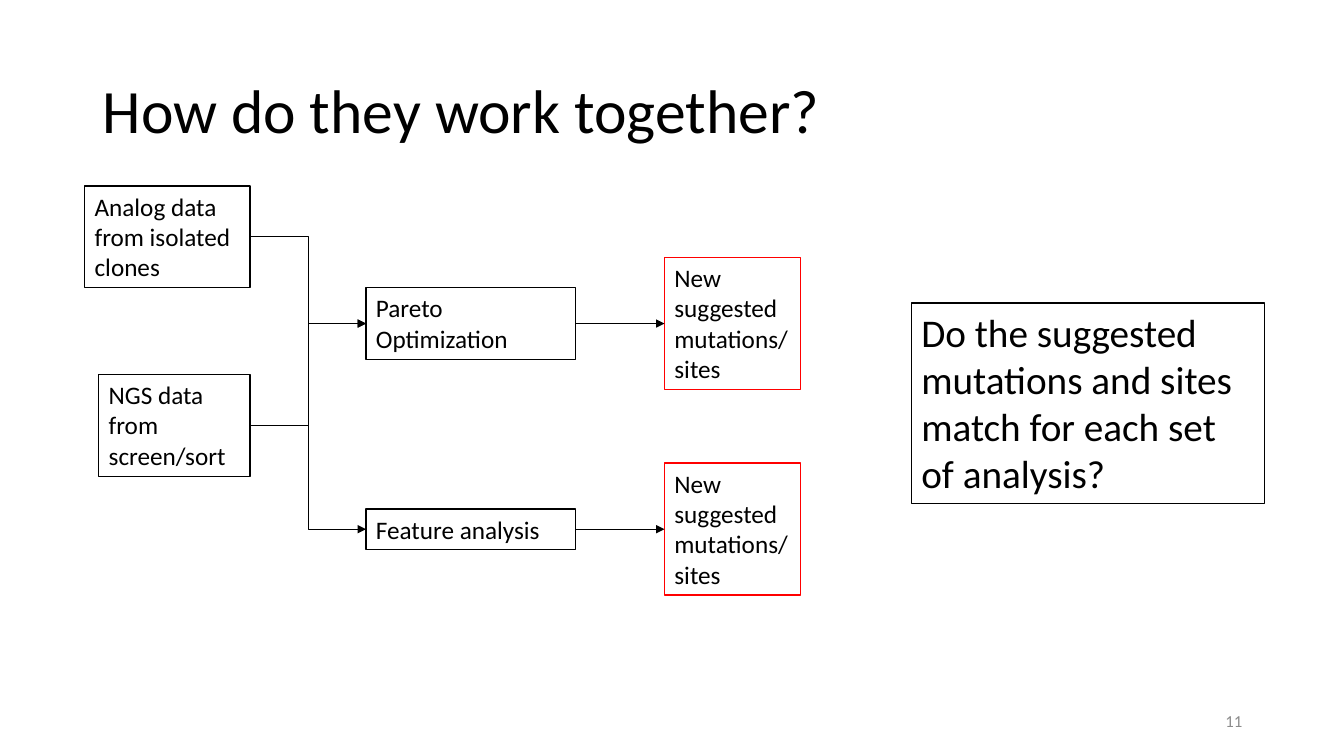
"""Build a slide showing how the two analysis routes work together."""
from dataclasses import dataclass

from lxml.etree import SubElement
from pptx import Presentation
from pptx.dml.color import RGBColor
from pptx.enum.shapes import MSO_CONNECTOR, MSO_SHAPE
from pptx.enum.text import MSO_ANCHOR, MSO_AUTO_SIZE, PP_ALIGN
from pptx.oxml.ns import qn
from pptx.shapes.autoshape import Shape
from pptx.slide import Slide
from pptx.util import Inches, Pt

BLACK = RGBColor(0x00, 0x00, 0x00)
WHITE = RGBColor(0xFF, 0xFF, 0xFF)
RED = RGBColor(0xFF, 0x00, 0x00)
GREY = RGBColor(0x8C, 0x8C, 0x8C)
FONT = "Calibri"
PARETO_ROW = 3.21
FEATURE_ROW = 5.25
TOP, LEFT, BOTTOM, RIGHT = range(4)


@dataclass(frozen=True)
class Box:
    text: str
    left: float
    middle: float
    width: float
    height: float
    outline: RGBColor = BLACK
    size: int = 18


@dataclass(frozen=True)
class Arrow:
    source: str
    target: str
    kind: MSO_CONNECTOR


@dataclass(frozen=True)
class Label:
    text: str
    left: float
    top: float
    width: float
    height: float
    size: int
    color: RGBColor
    align: PP_ALIGN
    line_spacing: float


SUGGESTION = "New suggested mutations/sites"
BOXES = {
    "analog": Box("Analog data from isolated clones", 0.84, 2.35, 1.64, 1.01),
    "ngs": Box("NGS data from screen/sort", 0.98, 4.22, 1.5, 1.01),
    "pareto": Box("Pareto Optimization", 3.63, PARETO_ROW, 2.08, 0.71),
    "feature": Box("Feature analysis", 3.63, FEATURE_ROW, 2.08, 0.4),
    "pareto sites": Box(SUGGESTION, 6.59, PARETO_ROW, 1.35, 1.31, RED),
    "feature sites": Box(SUGGESTION, 6.59, FEATURE_ROW, 1.35, 1.31, RED),
    "question": Box(
        "Do the suggested mutations and sites match for each set of analysis?",
        9.04, 4, 3.5, 1.99, size=28,
    ),
}
ARROWS = [
    Arrow("analog", "pareto", MSO_CONNECTOR.ELBOW),
    Arrow("ngs", "pareto", MSO_CONNECTOR.ELBOW),
    Arrow("ngs", "feature", MSO_CONNECTOR.ELBOW),
    Arrow("pareto", "pareto sites", MSO_CONNECTOR.STRAIGHT),
    Arrow("feature", "feature sites", MSO_CONNECTOR.STRAIGHT),
]
LABELS = [
    Label("How do they work together?", 0.92, 0.4, 11.5, 1.45, 44, BLACK, PP_ALIGN.LEFT, 0.9),
    Label("11", 9.42, 6.95, 3, 0.4, 12, GREY, PP_ALIGN.RIGHT, 1.0),
]


def write_text(
    holder: Shape, text: str, size: int, color: RGBColor, align: PP_ALIGN, anchor: MSO_ANCHOR
) -> None:
    """Fill a shape with one wrapped, formatted paragraph."""
    frame = holder.text_frame
    frame.word_wrap = True
    frame.vertical_anchor = anchor
    paragraph = frame.paragraphs[0]
    paragraph.text = text
    paragraph.alignment = align
    paragraph.font.name = FONT
    paragraph.font.size = Pt(size)
    paragraph.font.color.rgb = color


def draw_box(slide: Slide, box: Box) -> Shape:
    """Draw an outlined box centred on its row."""
    step = slide.shapes.add_shape(
        MSO_SHAPE.RECTANGLE,
        Inches(box.left), Inches(box.middle - box.height / 2),
        Inches(box.width), Inches(box.height),
    )
    step.shadow.inherit = False
    step.fill.solid()
    step.fill.fore_color.rgb = WHITE
    step.line.color.rgb = box.outline
    step.line.width = Pt(1)
    write_text(step, box.text, box.size, BLACK, PP_ALIGN.LEFT, MSO_ANCHOR.TOP)
    step.text_frame.auto_size = MSO_AUTO_SIZE.SHAPE_TO_FIT_TEXT
    return step


def draw_arrow(slide: Slide, arrow: Arrow, steps: dict[str, Shape]) -> None:
    """Join the right side of one box to the left side of another."""
    flow = slide.shapes.add_connector(arrow.kind, 0, 0, 0, 0)
    flow.begin_connect(steps[arrow.source], RIGHT)
    flow.end_connect(steps[arrow.target], LEFT)
    flow.line.color.rgb = BLACK
    flow.line.width = Pt(0.5)
    SubElement(flow.line._get_or_add_ln(), qn("a:tailEnd"), type="triangle")
    SubElement(flow._element.spPr, qn("a:effectLst"))


def draw_label(slide: Slide, label: Label) -> None:
    """Draw unframed text, centred vertically."""
    caption = slide.shapes.add_textbox(
        Inches(label.left), Inches(label.top), Inches(label.width), Inches(label.height)
    )
    write_text(caption, label.text, label.size, label.color, label.align, MSO_ANCHOR.MIDDLE)
    caption.text_frame.paragraphs[0].line_spacing = label.line_spacing


def main() -> None:
    """Assemble and save the slide."""
    deck = Presentation()
    deck.slide_width = Inches(13.33)
    deck.slide_height = Inches(7.5)
    slide = deck.slides.add_slide(deck.slide_layouts[6])
    for label in LABELS:
        draw_label(slide, label)
    steps = {name: draw_box(slide, box) for name, box in BOXES.items()}
    for arrow in ARROWS:
        draw_arrow(slide, arrow, steps)
    deck.save("out.pptx")


if __name__ == "__main__":
    main()
